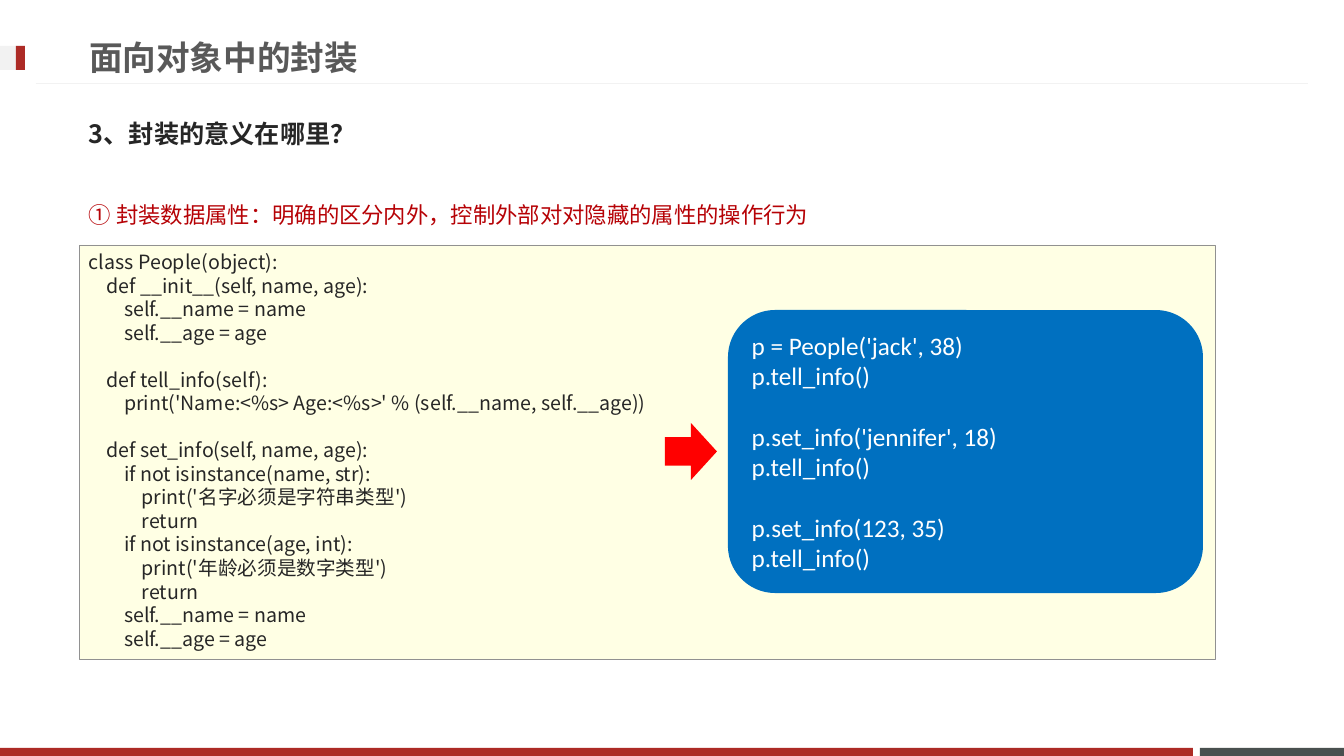
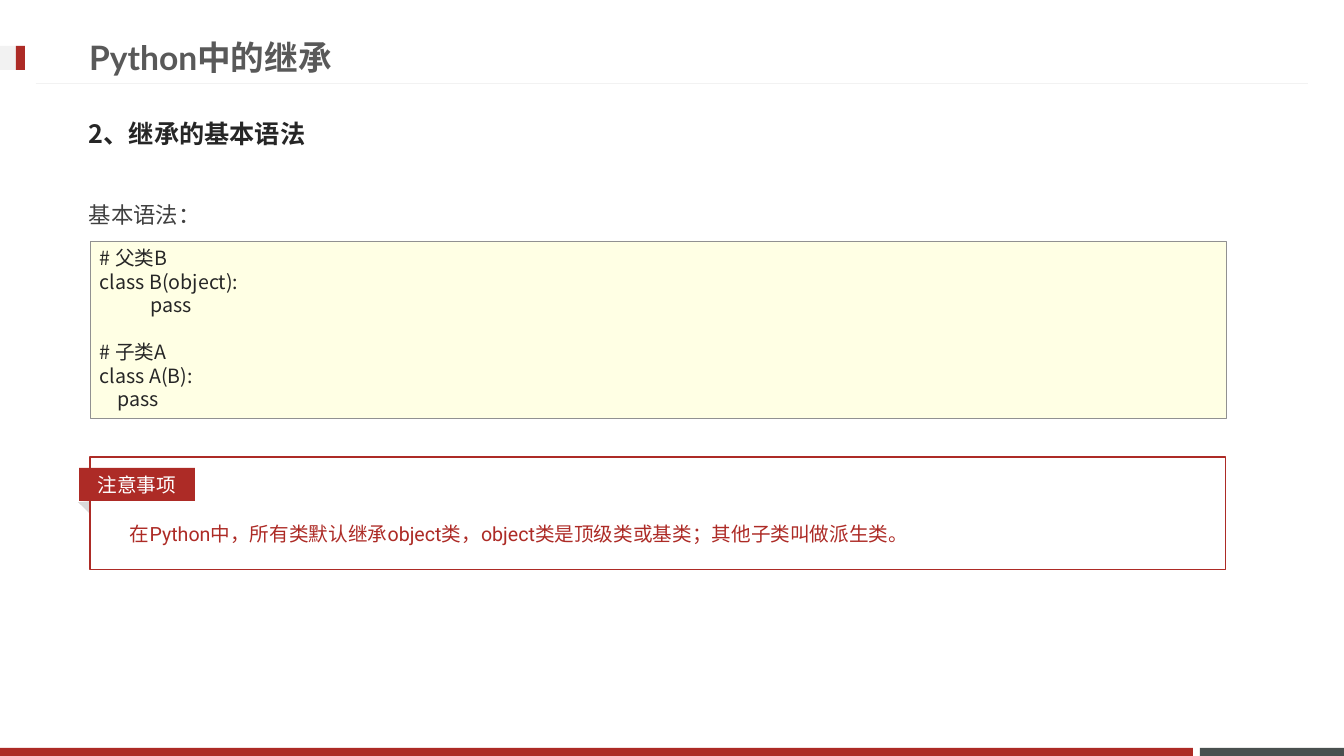
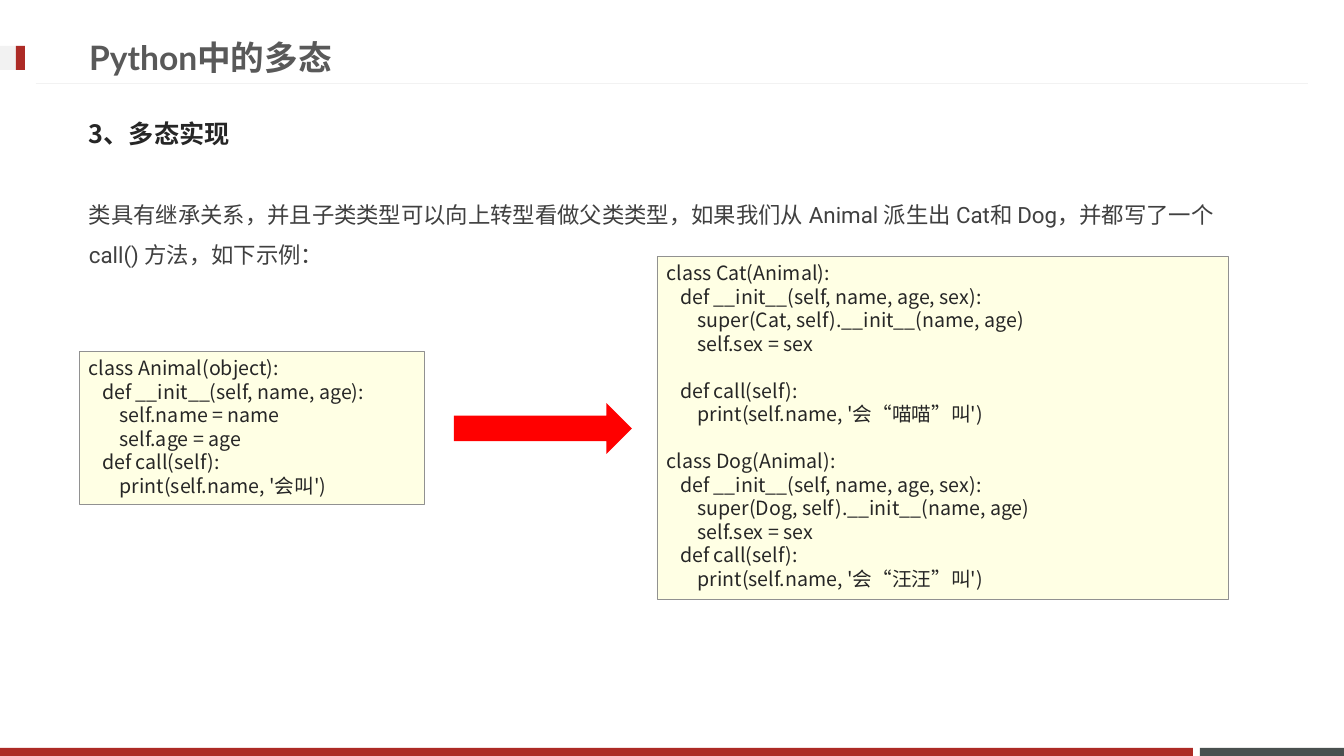
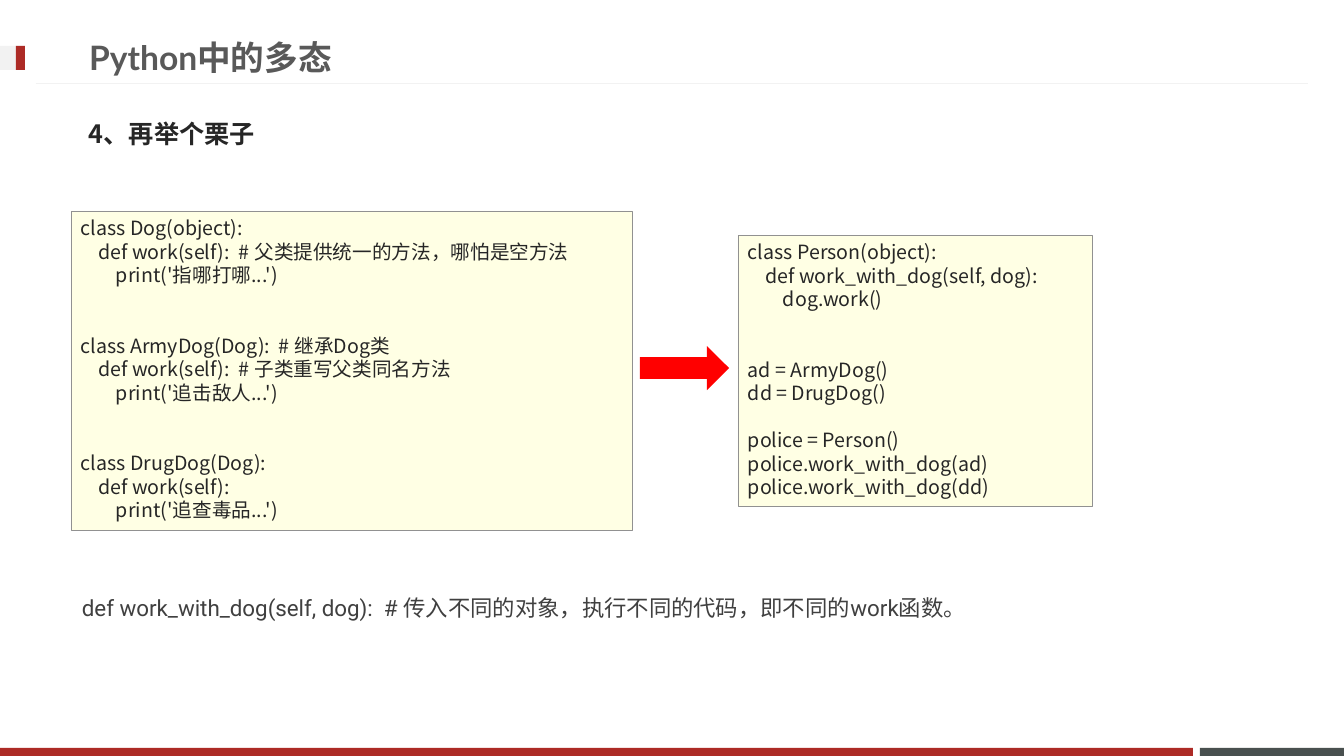
from lxml import etree
from pptx import Presentation
from pptx import util as u
from pptx.dml.color import RGBColor
from pptx.enum import shapes, text
from pptx.oxml.ns import qn

PIXEL = 914400 / 100.8
RED, SLATE, PALE, WHITE = "AD2B26", "49504F", "F2F2F2", "FFFFFF"
INK, BODY, TITLE = "262626", "404040", "595959"
CJK = "Noto Sans CJK JP"
TIGHT, LOOSE = 1.2, 1.79

RECT = shapes.MSO_SHAPE.RECTANGLE
ROUND = shapes.MSO_SHAPE.ROUNDED_RECTANGLE
ARROW = shapes.MSO_SHAPE.RIGHT_ARROW
TRIANGLE = shapes.MSO_SHAPE.ISOSCELES_TRIANGLE
MIDDLE = text.MSO_ANCHOR.MIDDLE

BANDS = [
    ((1200, 748, 144, 8), SLATE),
    ((0, 748, 1193, 8), RED),
    ((0, 46, 25, 24), PALE),
    ((16, 46, 9, 24), RED),
]
TITLE_BOX = (79, 29, 967, 57)
HEADING_BOX = (79, 105, 1185, 57)
BODY_BOX = (79, 183, 1185, 90)

PEOPLE = """class People(object):
    def __init__(self, name, age):
        self.__name = name
        self.__age = age

    def tell_info(self):
        print('Name:<%s> Age:<%s>' % (self.__name, self.__age))

    def set_info(self, name, age):
        if not isinstance(name, str):
            print('名字必须是字符串类型')
            return
        if not isinstance(age, int):
            print('年龄必须是数字类型')
            return
        self.__name = name
        self.__age = age"""

PEOPLE_CALLS = """p = People('jack', 38)
p.tell_info()

p.set_info('jennifer', 18)
p.tell_info()

p.set_info(123, 35)
p.tell_info()"""

INHERITANCE = """# 父类B
class B(object):
\tpass

# 子类A
class A(B):
    pass"""

ANIMAL = """class Animal(object):
   def __init__(self, name, age):
       self.name = name
       self.age = age
   def call(self):
       print(self.name, '会叫')"""

CAT_AND_DOG = """class Cat(Animal):
   def __init__(self, name, age, sex):
       super(Cat, self).__init__(name, age)
       self.sex = sex

   def call(self):
       print(self.name, '会“喵喵”叫')

class Dog(Animal):
   def __init__(self, name, age, sex):
       super(Dog, self).__init__(name, age)
       self.sex = sex
   def call(self):
       print(self.name, '会“汪汪”叫')"""

WORKING_DOGS = """class Dog(object):
    def work(self):  # 父类提供统一的方法，哪怕是空方法
        print('指哪打哪...')


class ArmyDog(Dog):  # 继承Dog类
    def work(self):  # 子类重写父类同名方法
        print('追击敌人...')


class DrugDog(Dog):
    def work(self):
        print('追查毒品...')"""

PERSON = """class Person(object):
    def work_with_dog(self, dog):
        dog.work()


ad = ArmyDog()
dd = DrugDog()

police = Person()
police.work_with_dog(ad)
police.work_with_dog(dd)"""

SLIDES = [
    {
        "title": "面向对象中的封装",
        "heading": "3、封装的意义在哪里？",
        "body": ("① 封装数据属性：明确的区分内外，控制外部对对隐藏的属性的操作行为", BODY_BOX, "B60206"),
        "code": [(PEOPLE, (79, 245, 1136, 414))],
        "calls": (PEOPLE_CALLS, (728, 310, 475, 283)),
        "arrow": (665, 423, 52, 57),
    },
    {
        "title": "Python中的继承",
        "heading": "2、继承的基本语法",
        "body": ("基本语法：", BODY_BOX, BODY),
        "code": [(INHERITANCE, (90, 241, 1136, 177))],
        "note": ("注意事项", "在Python中，所有类默认继承object类，object类是顶级类或基类；其他子类叫做派生类。"),
    },
    {
        "title": "Python中的多态",
        "heading": "3、多态实现",
        "body": ("类具有继承关系，并且子类类型可以向上转型看做父类类型，如果我们从 Animal 派生出 Cat和 Dog，"
                 "并都写了一个 call() 方法，如下示例：", BODY_BOX, BODY),
        "code": [(ANIMAL, (79, 351, 345, 153)), (CAT_AND_DOG, (657, 256, 571, 343))],
        "arrow": (454, 403, 178, 51),
    },
    {
        "title": "Python中的多态",
        "heading": "4、再举个栗子",
        "body": ("def work_with_dog(self, dog):  # 传入不同的对象，执行不同的代码，即不同的work函数。",
                 (72, 576, 1185, 57), BODY),
        "code": [(WORKING_DOGS, (71, 211, 561, 319)), (PERSON, (738, 235, 354, 271))],
        "arrow": (640, 346, 89, 44),
    },
]


def px(*lengths):
    """Turn pixels into a list of EMU lengths."""
    return [u.Emu(round(length * PIXEL)) for length in lengths]


def color(value):
    """Turn a hex string into a colour."""
    return RGBColor.from_string(value)


def write(shape, words, size=14, font=CJK, ink=INK, bold=False, leading=TIGHT,
          align=text.PP_ALIGN.LEFT, anchor=text.MSO_ANCHOR.TOP):
    """Write lines into a shape; empty lines become space before the next one."""
    frame = shape.text_frame
    frame.word_wrap = True
    frame.auto_size = text.MSO_AUTO_SIZE.NONE
    frame.vertical_anchor = anchor
    paragraph, gap = frame.paragraphs[0], 0
    for line in words.split("\n"):
        if not line:
            gap += 1
            continue
        if paragraph.runs:
            paragraph = frame.add_paragraph()
        paragraph.alignment = align
        paragraph.line_spacing = u.Pt(size * leading)
        paragraph.space_before = u.Pt(gap * size * leading)
        gap = 0
        run = paragraph.add_run()
        run.text = line
        run.font.size, run.font.name, run.font.bold = u.Pt(size), font, bold
        run.font.color.rgb = color(ink)
        east_asian = etree.SubElement(run.font._element, qn("a:ea"))
        east_asian.set("typeface", CJK)


def add_shape(slide, kind, box, fill=None, line=None, width=0.75):
    """Add a flat preset shape."""
    shape = slide.shapes.add_shape(kind, *px(*box))
    shape.shadow.inherit = False
    if fill:
        shape.fill.solid()
        shape.fill.fore_color.rgb = color(fill)
    else:
        shape.fill.background()
    if line:
        shape.line.color.rgb = color(line)
        shape.line.width = u.Pt(width)
    else:
        shape.line.fill.background()
    return shape


def add_text(slide, words, box, **style):
    """Add a text box."""
    write(slide.shapes.add_textbox(*px(*box)), words, **style)


def add_note(slide, label, words):
    """Add a framed note with a folded red label."""
    fold = add_shape(slide, TRIANGLE, (79, 500, 16, 9), fill="D9D9D9")
    fold.rotation = 44.2
    add_text(slide, words, (120, 505, 1078, 42), font="Roboto", ink=RED, leading=LOOSE)
    add_shape(slide, RECT, (90, 457, 1136, 113), line=RED)
    tag = add_shape(slide, RECT, (79, 468, 116, 33), fill=RED)
    write(tag, label, font="Roboto", ink=WHITE, align=text.PP_ALIGN.CENTER, anchor=MIDDLE)


def furnish_layout(layout, slide):
    """Draw the shared bands and rule, then move them into the layout."""
    parts = [add_shape(slide, RECT, box, fill=fill) for box, fill in BANDS]
    rule = slide.shapes.add_connector(shapes.MSO_CONNECTOR.STRAIGHT, *px(36, 84, 1308, 84))
    rule.line.color.rgb = color(PALE)
    rule.line.width = u.Pt(0.75)
    etree.SubElement(rule._element.spPr, qn("a:effectLst"))
    for number, part in enumerate(parts + [rule], start=101):
        part._element.xpath(".//p:cNvPr")[0].set("id", str(number))
        layout.shapes._spTree.append(part._element)


def fill_slide(slide, content):
    """Place one slide's title, heading, text, code and arrow."""
    title = slide.shapes.title
    title.left, title.top, title.width, title.height = px(*TITLE_BOX)
    write(title, content["title"], size=24, font="Lato", ink=TITLE, bold=True, anchor=MIDDLE)
    add_text(slide, content["heading"], HEADING_BOX, size=18, bold=True, anchor=MIDDLE)
    words, box, ink = content["body"]
    add_text(slide, words, box, size=16, font="Roboto", ink=ink, leading=LOOSE)
    for code, box in content["code"]:
        write(add_shape(slide, RECT, box, fill="FFFFE4", line="919191", width=0.25), code)
    if "calls" in content:
        code, box = content["calls"]
        panel = add_shape(slide, ROUND, box, fill="0070C0")
        write(panel, code, size=18, font="Calibri", ink=WHITE, anchor=MIDDLE)
    if "arrow" in content:
        add_shape(slide, ARROW, content["arrow"], fill="FF0000")
    if "note" in content:
        add_note(slide, *content["note"])


presentation = Presentation()
presentation.slide_width, presentation.slide_height = px(1344, 756)
title_only = presentation.slide_layouts[5]
for index, content in enumerate(SLIDES):
    slide = presentation.slides.add_slide(title_only)
    if index == 0:
        furnish_layout(title_only, slide)
    fill_slide(slide, content)
presentation.save("out.pptx")
